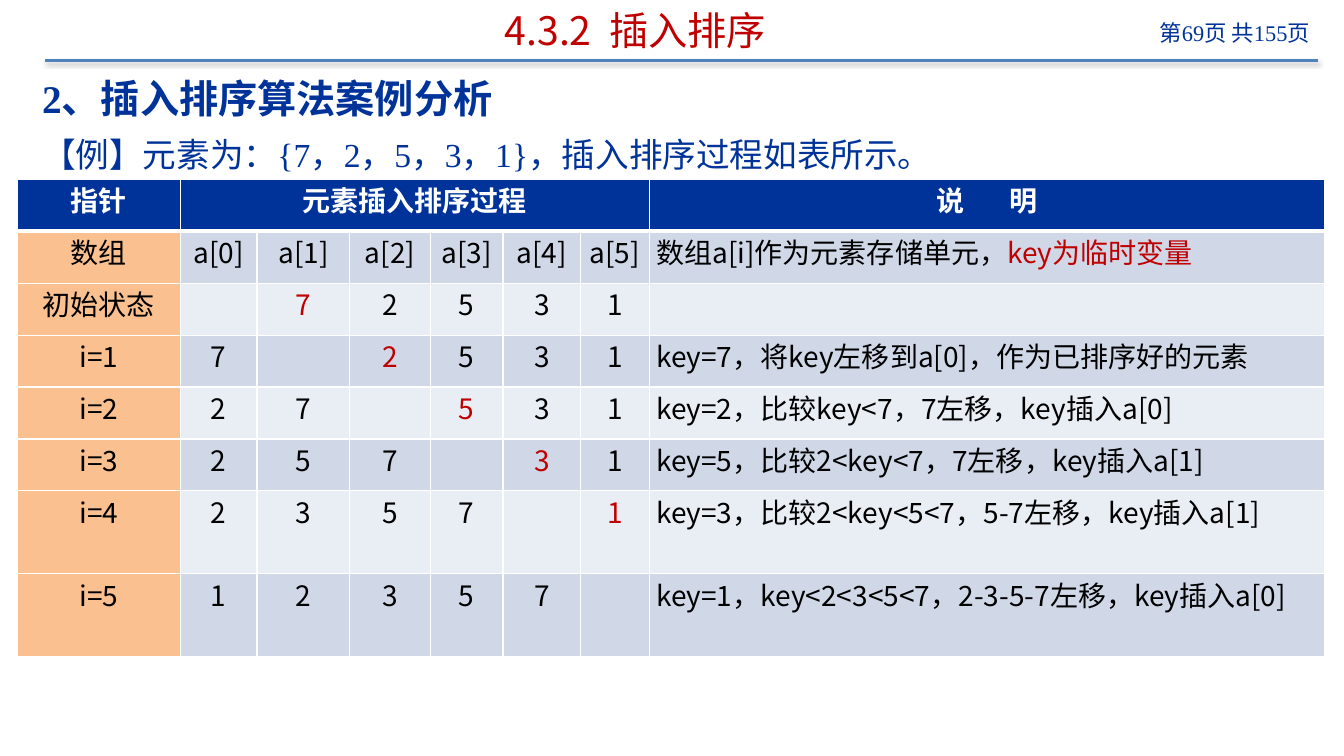
from lxml import etree
from pptx import Presentation
from pptx import util as u
from pptx.dml.color import RGBColor
from pptx.enum import shapes, text
from pptx.oxml import ns, parse_xml

NAVY = RGBColor(0x00, 0x33, 0x99)
RED = RGBColor(0xC0, 0x00, 0x00)
BLUE = RGBColor(0x4F, 0x81, 0xBD)
WHITE = RGBColor(0xFF, 0xFF, 0xFF)
BLACK = RGBColor(0x00, 0x00, 0x00)
PEACH = RGBColor(0xFA, 0xC0, 0x90)
BANDS = [RGBColor(0xE9, 0xED, 0xF4), RGBColor(0xD0, 0xD8, 0xE8)]
SANS = "Noto Sans CJK SC"
SERIF = "Times New Roman"
ALIGN = text.PP_ALIGN

COLS = [1.62, 0.76, 0.92, 0.8, 0.72, 0.77, 0.68, 6.7]
LAST = len(COLS) - 1
ROWS = [
    ["指针", "元素插入排序过程", "", "", "", "", "", "说 明"],
    ["数组", "a[0]", "a[1]", "a[2]", "a[3]", "a[4]", "a[5]", "数组a[i]作为元素存储单元，|key为临时变量"],
    ["初始状态", "", "7", "2", "5", "3", "1", ""],
    ["i=1", "7", "", "2", "5", "3", "1", "key=7，将key左移到a[0]，作为已排序好的元素"],
    ["i=2", "2", "7", "", "5", "3", "1", "key=2，比较key<7，7左移，key插入a[0]"],
    ["i=3", "2", "5", "7", "", "3", "1", "key=5，比较2<key<7，7左移，key插入a[1]"],
    ["i=4", "2", "3", "5", "7", "", "1", "key=3，比较2<key<5<7，5-7左移，key插入a[1]"],
    ["i=5", "1", "2", "3", "5", "7", "", "key=1，key<2<3<5<7，2-3-5-7左移，key插入a[0]"],
]
TALL = 2


def style(run, size, face, color, bold=False):
    font = run.font
    font.size, font.name, font.bold = u.Pt(size), face, bold
    font.color.rgb = color
    east = etree.SubElement(run._r.get_or_add_rPr(), ns.qn("a:ea"))
    east.set("typeface", SANS)


def place(shape, box):
    shape.left, shape.top, shape.width, shape.height = map(u.Inches, box)


def label(slide, box, lines, size, align):
    frame = slide.shapes.add_textbox(*map(u.Inches, box)).text_frame
    frame.word_wrap = True
    frame.text = "\n".join(lines)
    for para in frame.paragraphs:
        para.alignment = align
        for run in para.runs:
            style(run, size, SERIF, NAVY)
    return frame


def header(slide, box):
    x, y, w, h = box
    rule = slide.shapes.add_connector(
        shapes.MSO_CONNECTOR.STRAIGHT, *map(u.Inches, (x, y + h, x + w, y + h)))
    rule.line.color.rgb = BLUE
    rule.line.width = u.Pt(1.5)
    rule._element.spPr.append(parse_xml(
        f'<a:effectLst {ns.nsdecls("a")}><a:outerShdw blurRad="39400" dist="20300" '
        'dir="5400000"><a:srgbClr val="000000"><a:alpha val="38000"/></a:srgbClr>'
        '</a:outerShdw></a:effectLst>'))
    label(slide, (x + w - 2.24, y + 0.14, 2.26, 0.45), ["第69页 共155页"], 16, ALIGN.RIGHT)
    title = slide.shapes.title
    place(title, (x + 0.32, y + 0.02, 11.06, 0.56))
    frame = title.text_frame
    frame.text = "4.3.2  插入排序"
    frame.margin_top = frame.margin_bottom = 0
    frame.vertical_anchor = text.MSO_ANCHOR.MIDDLE
    frame.paragraphs[0].alignment = ALIGN.CENTER
    style(frame.paragraphs[0].runs[0], 28, SANS, RED)


def intro(slide, box):
    lines = ["2、插入排序算法案例分析", "【例】元素为：{7，2，5，3，1}，插入排序过程如表所示。"]
    head, case = label(slide, box, lines, 24, ALIGN.LEFT).paragraphs
    head.runs[0].font.size = u.Pt(28)
    head.runs[0].font.bold = True
    case.space_before = u.Pt(9)


def edge(cell, row):
    props = cell._tc.get_or_add_tcPr()
    thick = {("B", 0), ("T", 1)}
    for spot, side in enumerate("LRTB"):
        width = u.Pt(3 if (side, row) in thick else 1)
        props.insert(spot, parse_xml(
            f'<a:ln{side} {ns.nsdecls("a")} w="{width}"><a:solidFill>'
            f'<a:srgbClr val="{WHITE}"/></a:solidFill></a:ln{side}>'))


def fill(cell, row, col, words):
    cell.margin_left = cell.margin_right = u.Inches(0.07)
    cell.margin_top = cell.margin_bottom = 0
    cell.fill.solid()
    cell.fill.fore_color.rgb = NAVY if row == 0 else PEACH if col == 0 else BANDS[row % 2]
    edge(cell, row)
    para = cell.text_frame.paragraphs[0]
    para.alignment = ALIGN.LEFT if row and col == LAST else ALIGN.CENTER
    key = 1 < row == col < LAST
    ink = WHITE if row == 0 else RED if key else BLACK
    for part in filter(None, words.split("|")):
        run = para.add_run()
        run.text = part
        style(run, 20, SANS, ink, row == 0)
        ink = RED


def spread(cell):
    para = cell.text_frame.paragraphs[0]
    first, last = para.runs[0], para.add_run()
    first.text, last.text = "说 ", "明"
    style(last, 20, SANS, WHITE, True)
    first._r.get_or_add_rPr().set("spc", "1380")


def steps(slide, box):
    grid = slide.shapes.add_table(len(ROWS), len(COLS), *map(u.Inches, box)).table
    for col, width in zip(grid.columns, COLS):
        col.width = u.Inches(width)
    tall, flat = 0.82, len(ROWS) - TALL
    low = (box[3] - TALL * tall) / flat
    for r, row in enumerate(grid.rows):
        row.height = u.Inches(low if r < flat else tall)
    for r, row in enumerate(ROWS):
        for c, words in enumerate(row):
            fill(grid.cell(r, c), r, c, words)
    grid.cell(0, 1).merge(grid.cell(0, LAST - 1))
    spread(grid.cell(0, LAST))
    final = grid.cell(len(ROWS) - 1, LAST)
    final.text_frame.paragraphs[0].alignment = ALIGN.JUSTIFY


def main():
    deck = Presentation()
    deck.slide_width, deck.slide_height = u.Inches(13.33), u.Inches(7.5)
    slide = deck.slides.add_slide(deck.slide_layouts[5])
    header(slide, (0.45, 0, 12.62, 0.6))
    intro(slide, (0.32, 0.69, 12.74, 1.05))
    steps(slide, (0.17, 1.78, 12.97, 4.73))
    deck.save("out.pptx")


if __name__ == "__main__":
    main()
